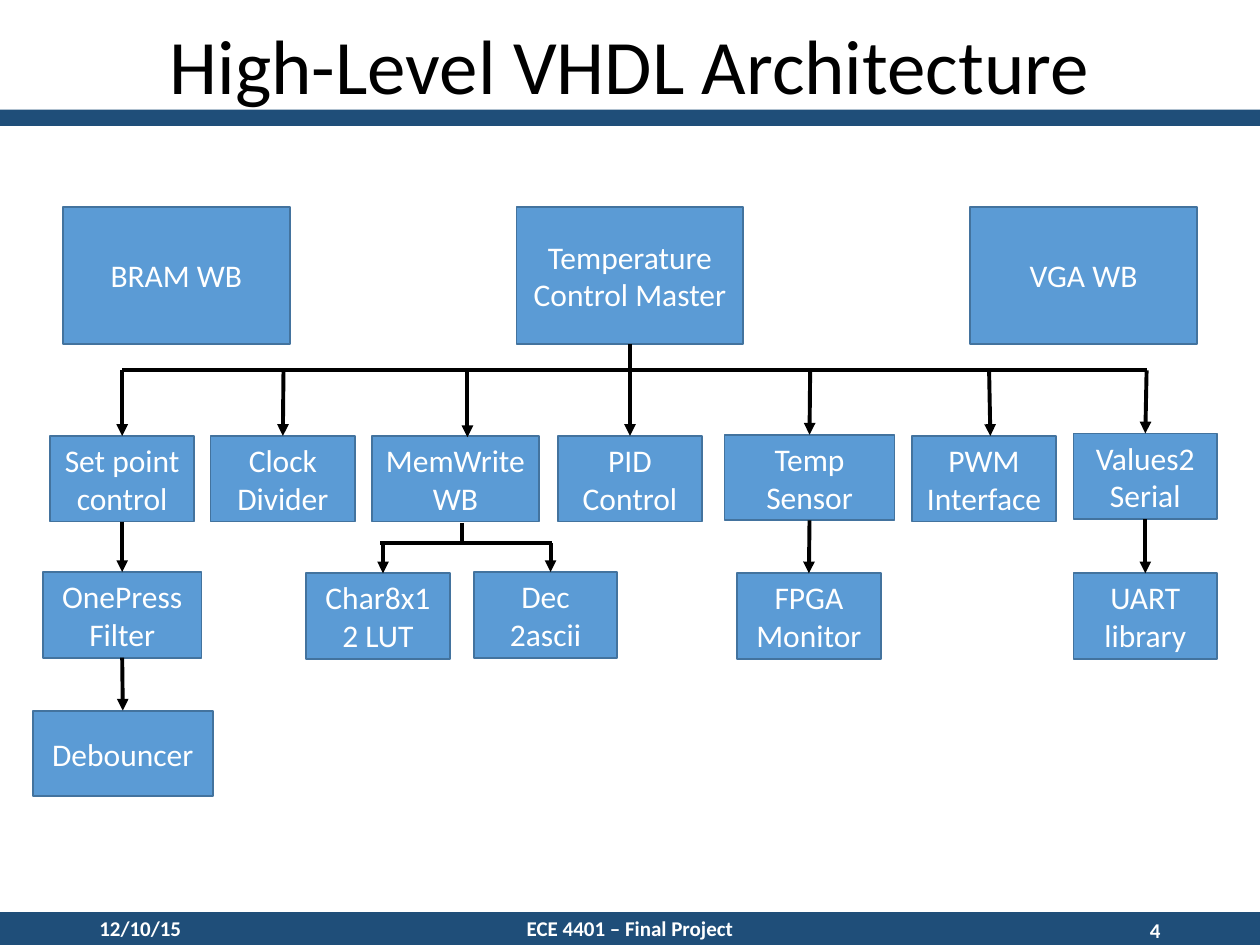
"""Build the High-Level VHDL Architecture block diagram slide."""
import dataclasses

import lxml.etree
import pptx
import pptx.dml.color
import pptx.enum.shapes
import pptx.enum.text
import pptx.oxml.ns
import pptx.util


@dataclasses.dataclass(frozen=True)
class Theme:
    font: str = "Calibri"
    bar: str = "1F4E79"
    block: str = "5B9BD5"
    edge: str = "43739E"
    dark: str = "000000"
    light: str = "FFFFFF"
    title_size: int = 44
    block_size: int = 18
    footer_size: int = 12
    edge_width: float = 1
    arrow_width: float = 2.25


class Diagram:
    COLS, ROWS = 100, 75
    ALIGN = pptx.enum.text.PP_ALIGN

    def __init__(self, prs, theme):
        self.theme = theme
        self.s = prs.slides.add_slide(prs.slide_layouts[5])
        self.col = prs.slide_width / self.COLS
        self.row = prs.slide_height / self.ROWS

    def place(self, x, y, w, h):
        return [round(v) for v in (x * self.col, y * self.row, w * self.col, h * self.row)]

    def rgb(self, color):
        return pptx.dml.color.RGBColor.from_string(color)

    def label(self, sp, text, size, color, align, bold=False):
        tf = sp.text_frame
        tf.text = text
        tf.word_wrap = True
        tf.auto_size = pptx.enum.text.MSO_AUTO_SIZE.NONE
        tf.vertical_anchor = pptx.enum.text.MSO_ANCHOR.MIDDLE
        for p in tf.paragraphs:
            p.alignment = align
            for r in p.runs:
                r.font.name = self.theme.font
                r.font.size = pptx.util.Pt(size)
                r.font.bold = bold
                r.font.color.rgb = self.rgb(color)

    def title(self, text, *box):
        sp = self.s.shapes.title
        sp.left, sp.top, sp.width, sp.height = self.place(*box)
        self.label(sp, text, self.theme.title_size, self.theme.dark, self.ALIGN.CENTER)

    def rect(self, fill, *box):
        sp = self.s.shapes.add_shape(
            pptx.enum.shapes.MSO_SHAPE.RECTANGLE, *self.place(*box))
        sp.shadow.inherit = False
        sp.fill.solid()
        sp.fill.fore_color.rgb = self.rgb(fill)
        sp.line.fill.background()
        return sp

    def bar(self, y, h):
        self.rect(self.theme.bar, 0, y, self.COLS, h)

    def block(self, text, *box):
        sp = self.rect(self.theme.block, *box)
        sp.line.color.rgb = self.rgb(self.theme.edge)
        sp.line.width = pptx.util.Pt(self.theme.edge_width)
        self.label(sp, text, self.theme.block_size, self.theme.light, self.ALIGN.CENTER)
        return sp

    def footer(self, text, align, *box):
        sp = self.s.shapes.add_textbox(*self.place(*box))
        self.label(sp, text, self.theme.footer_size, self.theme.light, align, bold=True)

    def point(self, end, site):
        if isinstance(end, tuple):
            return round(end[0] * self.col), round(end[1] * self.row)
        return end.left + end.width // 2, end.top + (end.height if site == 2 else 0)

    def link(self, start, end, arrow=True):
        line = self.s.shapes.add_connector(
            pptx.enum.shapes.MSO_CONNECTOR.STRAIGHT, *self.point(start, 2), *self.point(end, 0))
        line.line.color.rgb = self.rgb(self.theme.dark)
        line.line.width = pptx.util.Pt(self.theme.arrow_width)
        qn = pptx.oxml.ns.qn
        props = line.element.spPr
        if arrow:
            lxml.etree.SubElement(props.find(qn("a:ln")), qn("a:tailEnd"), type="triangle")
        lxml.etree.SubElement(props, qn("a:effectLst"))
        if not isinstance(start, tuple):
            line.begin_connect(start, 2)
        if not isinstance(end, tuple):
            line.end_connect(end, 0)


def main():
    prs = pptx.Presentation()
    prs.slide_width, prs.slide_height = pptx.util.Inches(10), pptx.util.Inches(7.5)
    d = Diagram(prs, Theme())

    d.bar(8.7, 1.3)
    d.bar(72.4, 2.6)
    d.title("High-Level VHDL Architecture", 5, -1.2, 90, 12.5)
    d.footer("12/10/15", d.ALIGN.LEFT, 6.9, 71.7, 22.5, 4)
    d.footer("ECE 4401 – Final Project", d.ALIGN.CENTER, 33.1, 71.7, 33.8, 4)
    d.footer("4", d.ALIGN.RIGHT, 70.6, 71.8, 22.5, 4)

    _, master, _ = [
        d.block(text, 5 + 36 * i, 16.4, 18, 10.9)
        for i, text in enumerate(["BRAM WB", "Temperature Control Master", "VGA WB"])]

    blocks = {
        name: d.block(text, x, y, w, 6.8)
        for name, text, x, y, w in [
            ("setpoint", "Set point control", 4, 34.6, 11.4),
            ("clock", "Clock Divider", 16.7, 34.6, 11.5),
            ("memwrite", "MemWrite WB", 29.5, 34.6, 13.3),
            ("pid", "PID Control", 44.3, 34.6, 11.4),
            ("temp", "Temp Sensor", 57.5, 34.5, 13.5),
            ("pwm", "PWM Interface", 72.4, 34.6, 11.4),
            ("values", "Values2\nSerial", 85.2, 34.4, 11.4),
            ("onepress", "OnePress\nFilter", 3.4, 45.4, 12.6),
            ("char", "Char8x12 LUT", 24.3, 45.5, 11.4),
            ("dec", "Dec 2ascii", 37.6, 45.4, 11.4),
            ("fpga", "FPGA Monitor", 58.5, 45.5, 11.4),
            ("uart", "UART\nlibrary", 85.2, 45.5, 11.4),
            ("debouncer", "Debouncer", 2.6, 56.4, 14.3),
        ]}

    bus = 29.4
    d.link((9.7, bus), (91, bus), arrow=False)
    d.link(master, blocks["pid"])
    for x, end in [(9.7, blocks["setpoint"]), (22.5, blocks["clock"]), (37.1, (37.1, 34.7)),
                   (64.3, blocks["temp"]), (78.5, (78.6, 34.6)), (91, blocks["values"])]:
        d.link((x, bus), end)

    branch = 43.1
    d.link((36.7, 41.5), (36.7, branch), arrow=False)
    d.link((30.2, branch), (43.8, branch), arrow=False)
    for x, y in [(30.4, 45.5), (43.7, 45.4)]:
        d.link((x, branch), (x, y))

    for upper, lower in [("setpoint", "onepress"), ("onepress", "debouncer"),
                         ("temp", "fpga"), ("values", "uart")]:
        d.link(blocks[upper], blocks[lower])

    prs.save("out.pptx")


if __name__ == "__main__":
    main()
